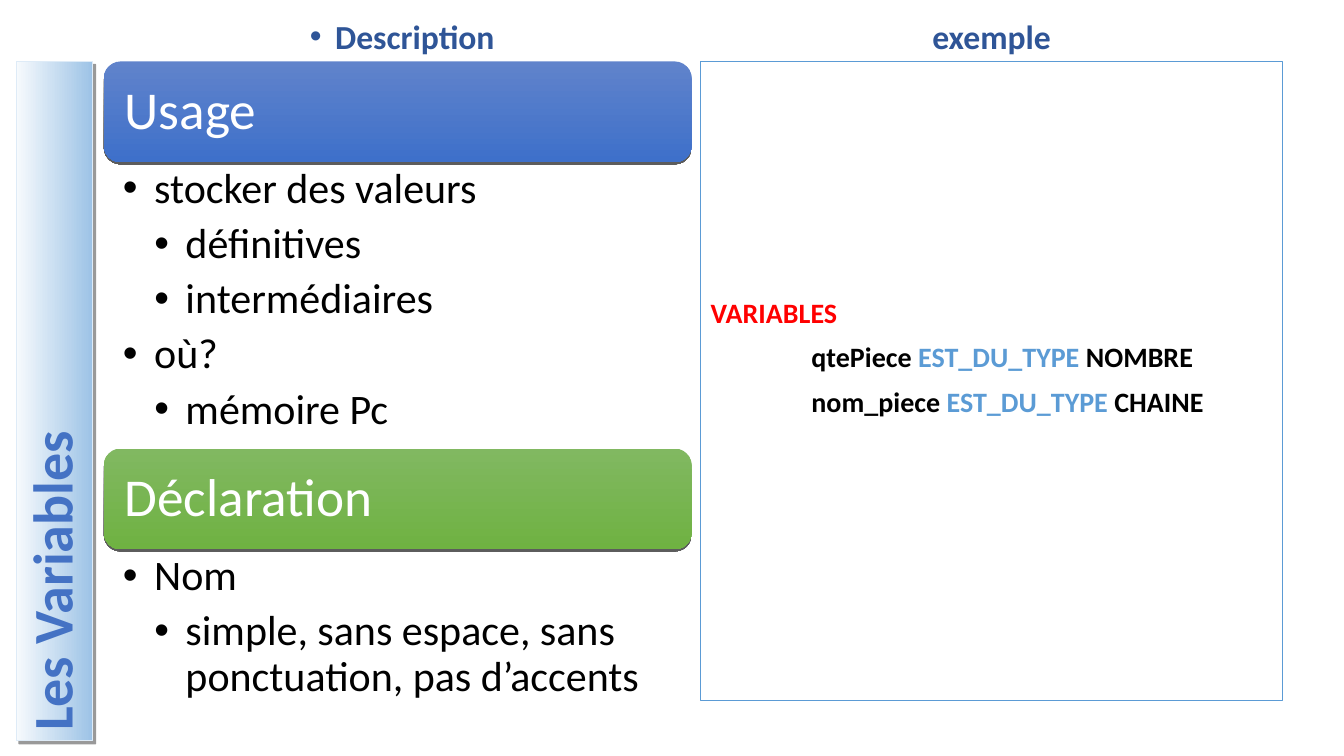
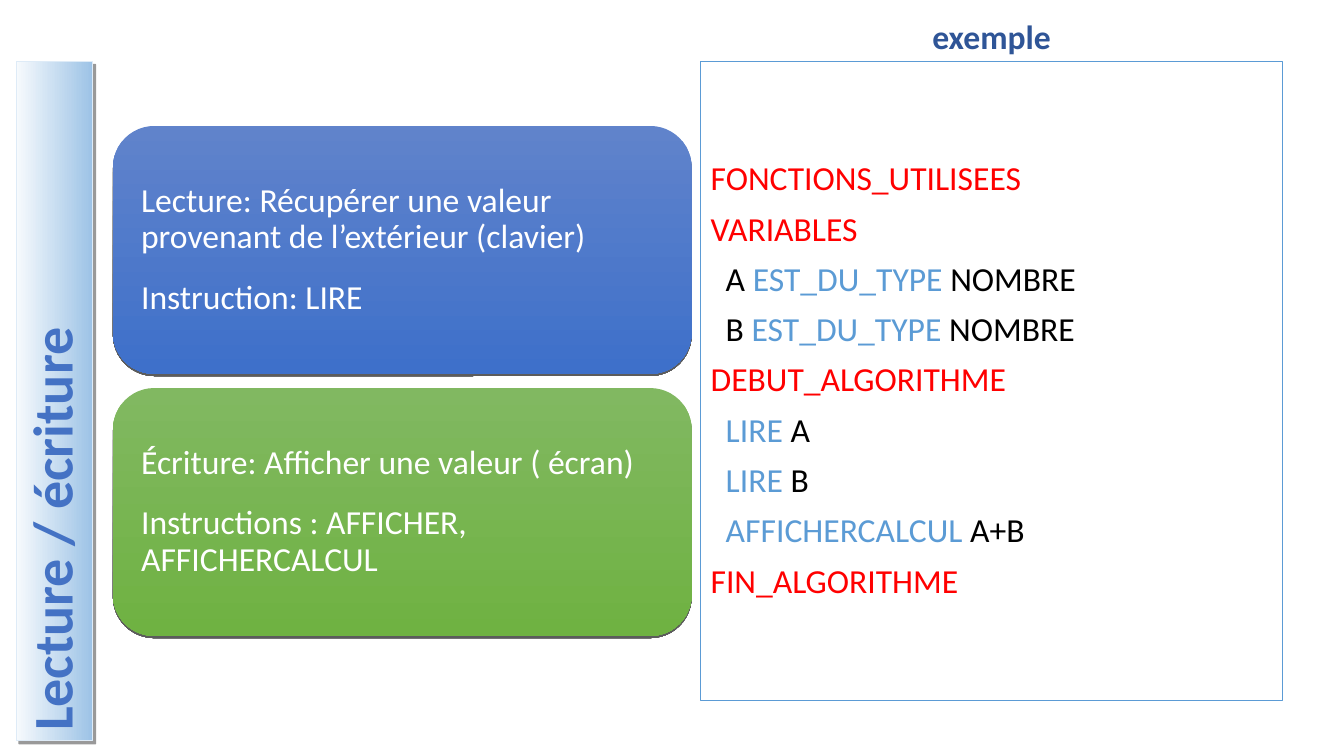
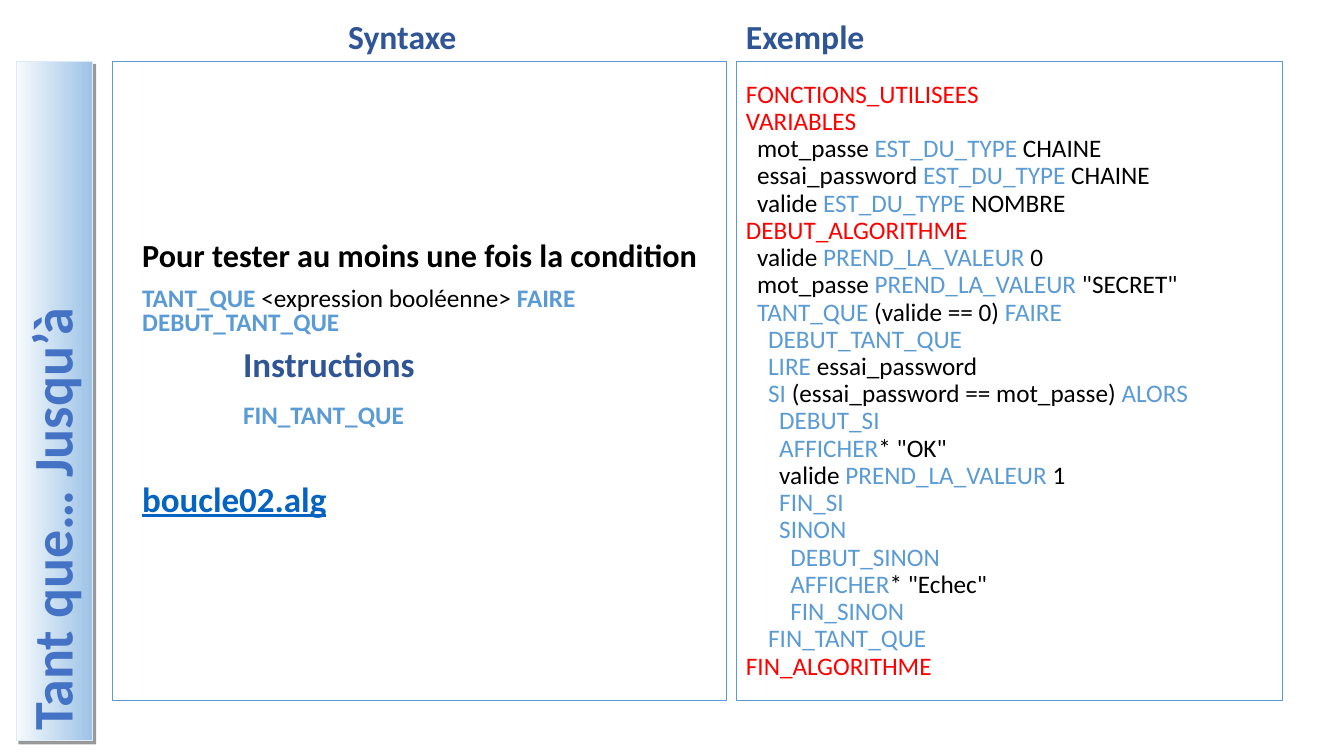
from lxml import etree
from pptx import Presentation
from pptx import util as u
from pptx.dml.color import RGBColor
from pptx.enum import shapes, text
from pptx.oxml.ns import qn

Inches, Pt = u.Inches, u.Pt

COLORS = {
    "black": "000000", "white": "FFFFFF", "red": "FF0000", "keyword": "5B9BD5",
    "heading": "2F5597", "title": "4472C4", "link": "0563C1", "band_line": "DEEBF7",
}
BAND = ("F7FAFD", "9DC3E6")
BLUE = ("6083CB", "3E70CA")
GREEN = ("81B861", "6FB242")
FONT = "Calibri"
LEFT, MIDDLE = text.PP_ALIGN.LEFT, text.MSO_ANCHOR.MIDDLE
HEAD_TOP, HEAD_HEIGHT = 0.1, 0.51
BODY_TOP, BODY_HEIGHT = 0.61, 6.34

# Content: code lines are (level, text), and |word| marks a keyword
TOPICS = [
    ("Usage", BLUE, 0.61, 2.84,
     [(1, "stocker des valeurs"), (2, "définitives"), (2, "intermédiaires"),
      (1, "où?"), (2, "mémoire Pc")]),
    ("Déclaration", GREEN, 4.45, 1.59,
     [(1, "Nom"), (2, "simple, sans espace, sans ponctuation, pas d’accents")]),
]
VARIABLES_CODE = [
    (0, "VARIABLES"),
    (1, "qtePiece |EST_DU_TYPE| NOMBRE"),
    (1, "nom_piece |EST_DU_TYPE| CHAINE"),
]
INSTRUCTIONS = [
    (BLUE, ["Lecture: Récupérer une valeur provenant de l’extérieur (clavier)",
            "Instruction: LIRE"]),
    (GREEN, ["Écriture: Afficher une valeur ( écran)",
             "Instructions : AFFICHER, AFFICHERCALCUL"]),
]
READ_WRITE_CODE = [
    (0, "FONCTIONS_UTILISEES"),
    (0, "VARIABLES"),
    (1, "A |EST_DU_TYPE| NOMBRE"),
    (1, "B |EST_DU_TYPE| NOMBRE"),
    (0, "DEBUT_ALGORITHME"),
    (1, "|LIRE| A"),
    (1, "|LIRE| B"),
    (1, "|AFFICHERCALCUL| A+B"),
    (0, "FIN_ALGORITHME"),
]
SYNTAX = [
    ("Pour tester au moins une fois la condition", dict(size=23)),
    ("|TANT_QUE| <expression booléenne> |FAIRE|", dict(bold=False)),
    ("|DEBUT_TANT_QUE|", dict(before=0)),
    ("Instructions", dict(size=25, color="heading", indent=1)),
    ("|FIN_TANT_QUE|", dict(indent=1, before=15)),
    ("boucle02.alg", dict(size=25, color="link", underline=True, before=40)),
]
LOOP_CODE = [
    (0, "FONCTIONS_UTILISEES"),
    (0, "VARIABLES"),
    (1, "mot_passe |EST_DU_TYPE| CHAINE"),
    (1, "essai_password |EST_DU_TYPE| CHAINE"),
    (1, "valide |EST_DU_TYPE| NOMBRE"),
    (0, "DEBUT_ALGORITHME"),
    (1, "valide |PREND_LA_VALEUR| 0"),
    (1, "mot_passe |PREND_LA_VALEUR| \"SECRET\""),
    (1, "|TANT_QUE| (valide == 0) |FAIRE|"),
    (2, "|DEBUT_TANT_QUE|"),
    (2, "|LIRE| essai_password"),
    (2, "|SI| (essai_password == mot_passe) |ALORS|"),
    (3, "|DEBUT_SI|"),
    (3, "|AFFICHER|* \"OK\""),
    (3, "valide |PREND_LA_VALEUR| 1"),
    (3, "|FIN_SI|"),
    (3, "|SINON|"),
    (4, "|DEBUT_SINON|"),
    (4, "|AFFICHER|* \"Echec\""),
    (4, "|FIN_SINON|"),
    (2, "|FIN_TANT_QUE|"),
    (0, "FIN_ALGORITHME"),
]


def rgb(name):
    return RGBColor.from_string(COLORS[name])


# Text
def add_paragraph(paragraph, content, size=24, color="black", bold=False, underline=False,
                  keyword_bold=False, align=LEFT, spacing=0.9, before=0, after=0,
                  indent=0, hanging=0):
    paragraph.alignment = align
    paragraph.line_spacing = spacing
    paragraph.space_before, paragraph.space_after = Pt(before), Pt(after)
    properties = paragraph._p.get_or_add_pPr()
    properties.set("marL", str(Inches(indent)))
    properties.set("indent", str(-Inches(hanging)))
    if hanging:
        bullet_font = etree.SubElement(properties, qn("a:buFont"))
        bullet_font.set("typeface", "Arial")
        etree.SubElement(properties, qn("a:buChar")).set("char", "•")
    for number, part in enumerate(content.split("|")):
        if not part:
            continue
        is_keyword = number % 2 == 1
        run = paragraph.add_run()
        run.text = part
        run.font.name, run.font.size = FONT, Pt(size)
        run.font.bold = bold or (is_keyword and keyword_bold)
        run.font.underline = underline
        run.font.color.rgb = rgb("keyword" if is_keyword else color)


def write(shape, lines, anchor=MIDDLE, margins=(0.1, 0.05, 0.1, 0.05), **style):
    """Fill a shape with lines, each a string or a (string, style) pair."""
    frame = shape.text_frame
    frame.word_wrap = True
    frame.vertical_anchor = anchor
    (frame.margin_left, frame.margin_top,
     frame.margin_right, frame.margin_bottom) = map(Inches, margins)
    for number, line in enumerate(lines):
        content, changes = (line, {}) if isinstance(line, str) else line
        paragraph = frame.add_paragraph() if number else frame.paragraphs[0]
        add_paragraph(paragraph, content, **{**style, **changes})


# Shapes
def add_box(slide, kind, *place):
    shape = slide.shapes.add_shape(kind, *map(Inches, place))
    shape.shadow.inherit = False
    shape.fill.background()
    shape.line.fill.background()
    return shape


def add_text_box(slide, *place):
    return slide.shapes.add_textbox(*map(Inches, place))


def set_line(shape, color):
    shape.line.color.rgb = rgb(color)
    shape.line.width = Pt(0.75)


def set_gradient(shape, colors):
    shape.fill.gradient()
    shape.fill.gradient_angle = 270
    for stop, color, position in zip(shape.fill.gradient_stops, colors, (0, 1)):
        stop.color.rgb = RGBColor.from_string(color)
        stop.position = position


def set_shadow(shape, alpha, distance, angle):
    effects = shape._element.spPr.find(qn("a:effectLst"))
    shadow = etree.SubElement(effects, qn("a:outerShdw"), blurRad="0", dist=str(Pt(distance)),
                              dir=str(angle * 60000), algn="ctr", rotWithShape="0")
    color = etree.SubElement(shadow, qn("a:srgbClr"), val=COLORS["black"])
    etree.SubElement(color, qn("a:alpha"), val=str(alpha * 1000))


def add_card(slide, colors, lines, *place, **style):
    card = add_box(slide, shapes.MSO_SHAPE.ROUNDED_RECTANGLE, *place)
    set_gradient(card, colors)
    set_shadow(card, 63, 1.5, 90)
    write(card, lines, margins=(0.16,) * 4, color="white", **style)


def add_heading(slide, content, left, width, **style):
    box = add_text_box(slide, left, HEAD_TOP, width, HEAD_HEIGHT)
    write(box, [content], anchor=text.MSO_ANCHOR.BOTTOM, color="heading", bold=True,
          **{"align": text.PP_ALIGN.CENTER, **style})


def add_panel(slide, lines, left, width, **style):
    panel = add_box(slide, shapes.MSO_SHAPE.RECTANGLE, left, BODY_TOP, width, BODY_HEIGHT)
    set_line(panel, "keyword")
    write(panel, lines, **style)


def code_lines(code, step):
    return [(line, dict(indent=level * step, color="black" if level else "red"))
            for level, line in code]


def add_titled_slide(presentation, title):
    slide = presentation.slides.add_slide(presentation.slide_layouts[6])
    band = add_box(slide, shapes.MSO_SHAPE.RECTANGLE, -2.83, 3.6, 6.74, 0.76)
    band.rotation = 270
    set_gradient(band, BAND)
    set_line(band, "band_line")
    set_shadow(band, 40, 3, 45)
    write(band, [title], size=40, color="title", bold=True)
    return slide


def build_variables(presentation):
    slide = add_titled_slide(presentation, "Les Variables")
    add_heading(slide, "Description", 1.12, 5.74, indent=0.25, hanging=0.25)
    for name, colors, top, height, points in TOPICS:
        add_card(slide, colors, [name], 1.03, top, 5.83, 1, size=38)
        lines = [(point, dict(indent=level * 0.31)) for level, point in points]
        write(add_text_box(slide, 1.03, top + 1, 5.83, height), lines,
              anchor=text.MSO_ANCHOR.TOP, margins=(0.19, 0.05, 0.3, 0.05),
              size=30, after=7, hanging=0.31)
    add_heading(slide, "exemple", 6.95, 5.77)
    add_panel(slide, code_lines(VARIABLES_CODE, 1), 6.95, 5.77, size=20, bold=True, before=10,
              margins=(0.1, 0.05, 0.1, 0.49))


def build_read_write(presentation):
    slide = add_titled_slide(presentation, "Lecture / écriture")
    for number, (colors, lines) in enumerate(INSTRUCTIONS):
        add_card(slide, colors, lines, 1.12, 1.25 + number * 2.6, 5.74, 2.46, after=17)
    add_heading(slide, "exemple", 6.95, 5.77)
    add_panel(slide, code_lines(READ_WRITE_CODE, 0.15), 6.95, 5.77, before=10)


def build_loop(presentation):
    slide = add_titled_slide(presentation, "Tant que… Jusqu’à")
    add_heading(slide, "Syntaxe", 1.12, 5.74)
    add_panel(slide, SYNTAX, 1.12, 6.09, margins=(0.29, 0.05, 0.1, 0.05), size=18,
              bold=True, keyword_bold=True, spacing=0.8, before=10)
    add_heading(slide, "Exemple", 7.3, 5.42, align=LEFT)
    add_panel(slide, code_lines(LOOP_CODE, 0.11), 7.3, 5.42, size=18)


def main():
    presentation = Presentation()
    presentation.slide_width, presentation.slide_height = Inches(13.33), Inches(7.5)
    build_variables(presentation)
    build_read_write(presentation)
    build_loop(presentation)
    presentation.save("out.pptx")


if __name__ == "__main__":
    main()
